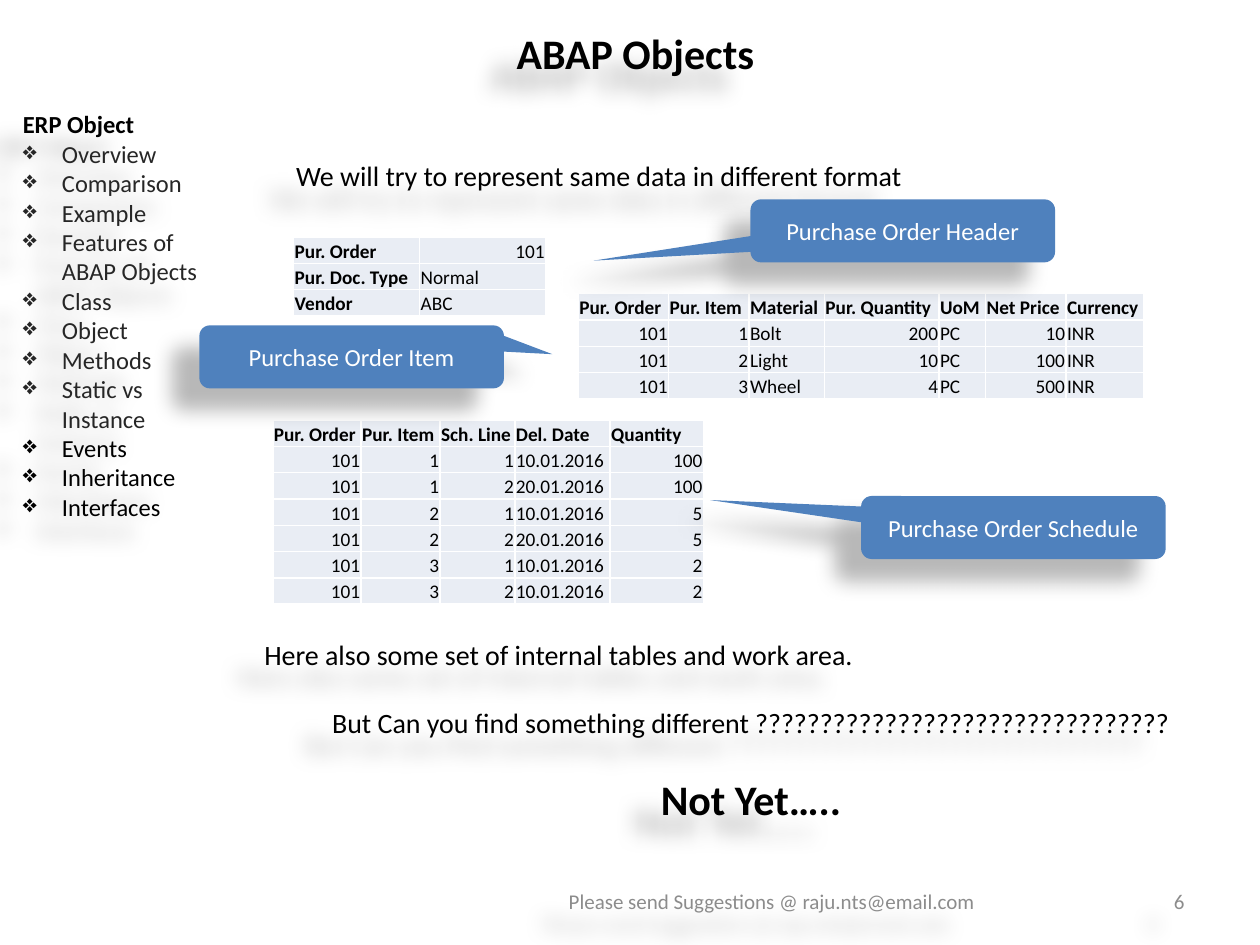
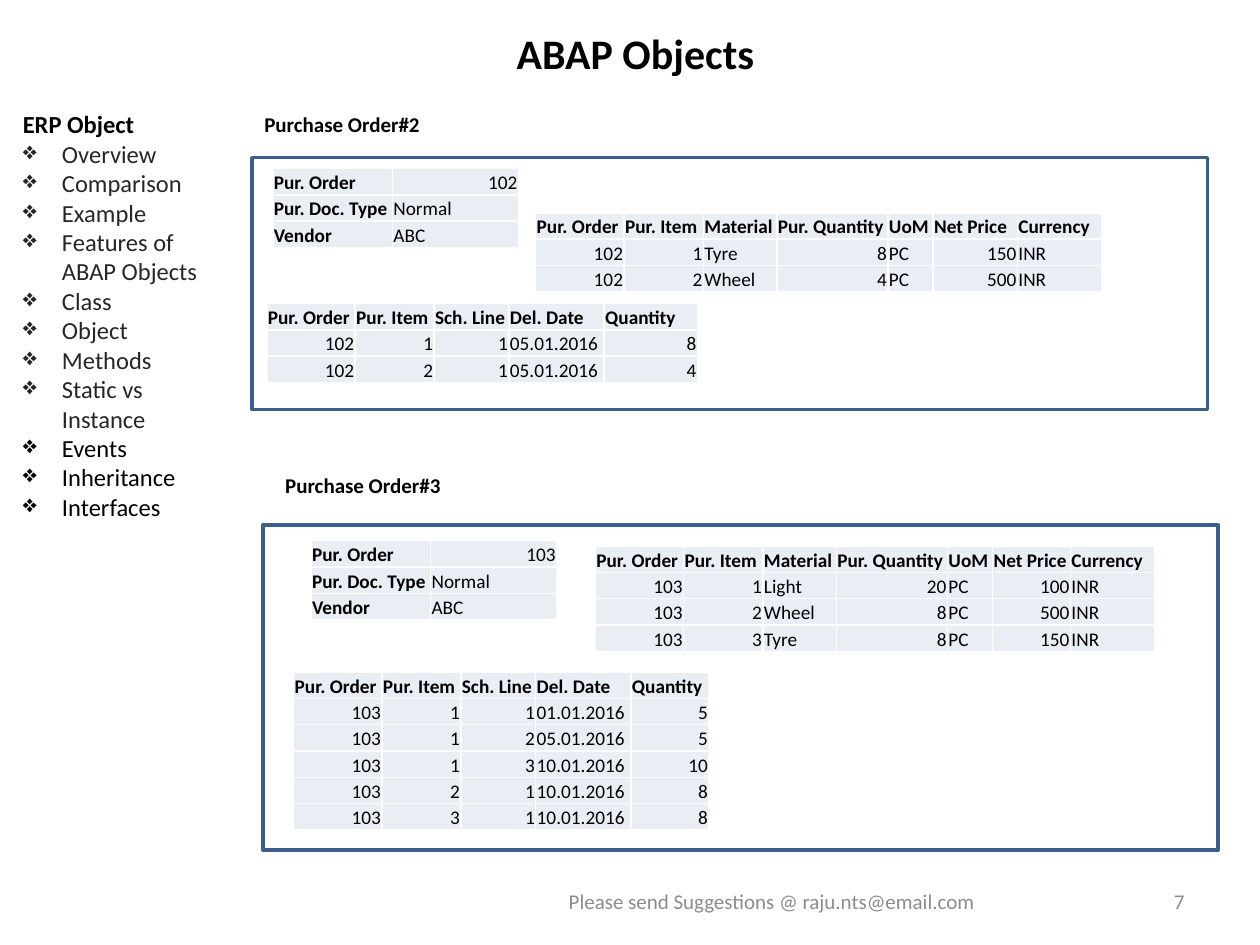
from dataclasses import dataclass

from lxml import etree
from pptx import Presentation
from pptx import util as u
from pptx.dml import color
from pptx.enum import shapes, text
from pptx.oxml import ns


@dataclass(frozen=True)
class Theme:
    font: str = "Calibri"
    black: str = "000000"
    soft_black: str = "262626"
    white: str = "FFFFFF"
    grey: str = "8C8C8C"
    cell: str = "E9EDF4"
    callout: str = "4F81BD"
    frame: str = "3A5F8C"
    title_size: int = 24
    body_size: int = 16
    menu_size: int = 14
    small_size: int = 12
    table_size: int = 11


THEME = Theme()
LEFT, CENTER, RIGHT = text.PP_ALIGN.LEFT, text.PP_ALIGN.CENTER, text.PP_ALIGN.RIGHT

# Shared content
TITLE = "ABAP Objects"
FOOTER = "Please send Suggestions @ raju.nts@email.com"
MENU_TITLE = "ERP Object"
MENU_DONE = ["Overview", "Comparison", "Example", "Features of ABAP Objects",
             "Class", "Object", "Methods", "Static vs Instance"]
MENU_NEXT = ["Events", "Inheritance", "Interfaces"]

# Purchase orders: items are (material, quantity, price),
# schedule lines are (item, line, date, quantity)
ITEM_HEADINGS = ["Pur. Order", "Pur. Item", "Material", "Pur. Quantity",
                 "UoM", "Net Price", "Currency"]
SCHEDULE_HEADINGS = ["Pur. Order", "Pur. Item", "Sch. Line", "Del. Date", "Quantity"]
ORDERS = {
    101: {
        "items": [("Bolt", 200, 10), ("Light", 10, 100), ("Wheel", 4, 500)],
        "schedule": [(1, 1, "10.01.2016", 100), (1, 2, "20.01.2016", 100),
                     (2, 1, "10.01.2016", 5), (2, 2, "20.01.2016", 5),
                     (3, 1, "10.01.2016", 2), (3, 2, "10.01.2016", 2)],
    },
    102: {
        "items": [("Tyre", 8, 150), ("Wheel", 4, 500)],
        "schedule": [(1, 1, "05.01.2016", 8), (2, 1, "05.01.2016", 4)],
    },
    103: {
        "items": [("Light", 20, 100), ("Wheel", 8, 500), ("Tyre", 8, 150)],
        "schedule": [(1, 1, "01.01.2016", 5), (1, 2, "05.01.2016", 5),
                     (1, 3, "10.01.2016", 10), (2, 1, "10.01.2016", 8),
                     (3, 1, "10.01.2016", 8)],
    },
}

# Table places in cm: (left, top, column widths)
ROW_HEIGHT = 0.53
SCHEDULE_COLUMNS = [1.78, 1.59, 1.51, 1.92]
ITEM_COLUMNS = [1.78, 1.6, 1.48, 2.24, 0.91]
PLACES = {
    101: {"header": (5.92, 4.78, [2.54, 2.54]),
          "items": (11.66, 5.92, [1.82, 1.62, 1.52, 2.31, 0.94, 1.62, 1.57]),
          "schedule": (5.5, 8.47, SCHEDULE_COLUMNS + [1.88])},
    102: {"header": (5.5, 3.4, [2.41, 2.54]),
          "items": (10.8, 4.29, ITEM_COLUMNS + [1.7, 1.7]),
          "schedule": (5.38, 6.12, SCHEDULE_COLUMNS + [1.88])},
    103: {"header": (6.27, 10.9, [2.41, 2.54]),
          "items": (12, 11.01, ITEM_COLUMNS + [1.57, 1.7]),
          "schedule": (5.92, 13.55, SCHEDULE_COLUMNS + [1.57])},
}

# Slide 6: (label, left, top, pointer x, pointer y)
INTRO = "We will try to represent same data in different format"
CLOSING = ["Here also some set of internal tables and work area.",
           "But Can you find something different ????????????????????????????????",
           "Not Yet….."]
CALLOUTS = [("Purchase Order Header", 15.13, 4.02, -1.015, 0.473),
            ("Purchase Order Item", 4.02, 6.56, 0.659, -0.042),
            ("Purchase Order Schedule", 17.36, 10, -0.996, -0.436)]

# Slide 7: (order, heading, heading place, frame place)
FRAMED_ORDERS = [
    (102, "Purchase Order#2", (5.08, 2.12, 4.02, 0.77), (5.08, 3.18, 19.26, 5.08)),
    (103, "Purchase Order#3", (5.5, 9.4, 4.02, 0.77), (5.3, 10.58, 19.26, 6.56)),
]


def rgb(value):
    return color.RGBColor.from_string(value)


def cm(lengths):
    return [u.Cm(length) for length in lengths]


def add_run(paragraph, words, size, tint=THEME.black, bold=False):
    run = paragraph.add_run()
    run.text = words
    run.font.name = THEME.font
    run.font.size = u.Pt(size)
    run.font.bold = bold
    run.font.color.rgb = rgb(tint)


def add_shadow(shape):
    """Soft shadow falling to the lower left."""
    properties = shape._element.spPr
    for old in properties.findall(ns.qn("a:effectLst")):
        properties.remove(old)
    effects = etree.SubElement(properties, ns.qn("a:effectLst"))
    shadow = etree.SubElement(effects, ns.qn("a:outerShdw"), blurRad=str(u.Pt(11.8)),
                              dist=str(u.Pt(19.7)), dir=str(141 * 60000),
                              algn="ctr", rotWithShape="0")
    tint = etree.SubElement(shadow, ns.qn("a:srgbClr"), val=THEME.black)
    etree.SubElement(tint, ns.qn("a:alpha"), val="28000")


def add_box(slide, place, shadowed=False, middle=False):
    """Empty wrapping text box; returns its text frame."""
    box = slide.shapes.add_textbox(*cm(place))
    box.text_frame.word_wrap = True
    if middle:
        box.text_frame.vertical_anchor = text.MSO_ANCHOR.MIDDLE
    if shadowed:
        add_shadow(box)
    return box.text_frame


def add_label(slide, place, words, size, align=LEFT, tint=THEME.black,
              bold=False, **options):
    paragraph = add_box(slide, place, **options).paragraphs[0]
    paragraph.alignment = align
    add_run(paragraph, words, size, tint, bold)


def add_menu(slide, shadowed):
    frame = add_box(slide, (0.21, 2.08, 4.45, 10), shadowed)
    add_run(frame.paragraphs[0], MENU_TITLE, THEME.menu_size, bold=True)
    for entry in MENU_DONE + MENU_NEXT:
        paragraph = frame.add_paragraph()
        tint = THEME.soft_black if entry in MENU_DONE else THEME.black
        add_run(paragraph, entry, THEME.menu_size, tint)
        properties = paragraph._p.get_or_add_pPr()
        properties.set("marL", str(u.Cm(0.79)))
        properties.set("indent", str(-u.Cm(0.79)))
        etree.SubElement(properties, ns.qn("a:buChar"), char="❖")


def add_common(presentation, number, shadowed=False):
    """New slide with number, title, footer and menu."""
    slide = presentation.slides.add_slide(presentation.slide_layouts[6])
    add_label(slide, (18.2, 17.65, 5.93, 1.02), str(number), THEME.small_size, RIGHT,
              THEME.grey, shadowed=shadowed, middle=True)
    add_label(slide, (9.74, 0.42, 6.14, 1.28), TITLE, THEME.title_size, CENTER,
              bold=True, shadowed=shadowed)
    add_label(slide, (8.68, 17.65, 13.76, 1.02), FOOTER, THEME.small_size, CENTER,
              THEME.grey, shadowed=shadowed, middle=True)
    add_menu(slide, shadowed)
    return slide


def style_cell(cell, words, bold):
    cell.margin_left = cell.margin_right = cell.margin_top = u.Cm(0.02)
    cell.margin_bottom = 0
    cell.vertical_anchor = text.MSO_ANCHOR.BOTTOM
    properties = cell._tc.get_or_add_tcPr()
    for side in ("lnL", "lnR", "lnT", "lnB"):
        line = etree.SubElement(properties, ns.qn("a:" + side), w=str(u.Pt(1)))
        fill = etree.SubElement(line, ns.qn("a:solidFill"))
        etree.SubElement(fill, ns.qn("a:srgbClr"), val=THEME.white)
    cell.fill.solid()
    cell.fill.fore_color.rgb = rgb(THEME.cell)
    paragraph = cell.text_frame.paragraphs[0]
    paragraph.alignment = RIGHT if words.isdigit() else LEFT
    add_run(paragraph, words, THEME.table_size, bold=bold)


def add_grid(slide, place, rows, labels_in_column=False):
    left, top, widths = place
    size = (left, top, sum(widths), ROW_HEIGHT * len(rows))
    table = slide.shapes.add_table(len(rows), len(widths), *cm(size)).table
    table.first_row = table.horz_banding = False
    for column, width in zip(table.columns, widths):
        column.width = u.Cm(width)
    for r, row in enumerate(rows):
        table.rows[r].height = u.Cm(ROW_HEIGHT)
        for c, value in enumerate(row):
            bold = c == 0 if labels_in_column else r == 0
            style_cell(table.cell(r, c), str(value), bold)


def add_order(slide, number):
    """Header, item and schedule tables of one purchase order."""
    order, places = ORDERS[number], PLACES[number]
    header = [("Pur. Order", number), ("Pur. Doc. Type", "Normal"), ("Vendor", "ABC")]
    items = [(number, position, material, quantity, "PC", price, "INR")
             for position, (material, quantity, price) in enumerate(order["items"], 1)]
    schedule = [(number, *line) for line in order["schedule"]]
    add_grid(slide, places["header"], header, labels_in_column=True)
    add_grid(slide, places["items"], [ITEM_HEADINGS] + items)
    add_grid(slide, places["schedule"], [SCHEDULE_HEADINGS] + schedule)


def add_callout(slide, label, left, top, pointer_x, pointer_y):
    shape = slide.shapes.add_shape(shapes.MSO_SHAPE.ROUNDED_RECTANGULAR_CALLOUT,
                                   *cm((left, top, 6.14, 1.27)))
    shape.adjustments[0] = pointer_x
    shape.adjustments[1] = pointer_y
    shape.fill.solid()
    shape.fill.fore_color.rgb = rgb(THEME.callout)
    shape.line.fill.background()
    add_shadow(shape)
    shape.text_frame.vertical_anchor = text.MSO_ANCHOR.MIDDLE
    paragraph = shape.text_frame.paragraphs[0]
    paragraph.alignment = CENTER
    add_run(paragraph, label, THEME.menu_size, THEME.white)


def add_frame(slide, place):
    frame = slide.shapes.add_shape(shapes.MSO_SHAPE.RECTANGLE, *cm(place))
    frame.shadow.inherit = False
    frame.fill.background()
    frame.line.color.rgb = rgb(THEME.frame)
    frame.line.width = u.Pt(2)


def build_tables_slide(presentation):
    slide = add_common(presentation, 6, shadowed=True)
    add_label(slide, (5.72, 3.07, 20.12, 0.94), INTRO, THEME.body_size, shadowed=True)
    add_order(slide, 101)

    # Closing lines, the last one large
    frame = add_box(slide, (5.08, 12.73, 20.12, 4.7), shadowed=True)
    statement, question, answer = CLOSING
    add_run(frame.paragraphs[0], statement, THEME.body_size)
    for words, size, bold in ((question, THEME.body_size, False),
                              (answer, THEME.title_size, True)):
        paragraph = frame.add_paragraph()
        paragraph.alignment = CENTER
        paragraph.space_before = u.Pt(19.5)
        add_run(paragraph, words, size, bold=bold)

    for callout in CALLOUTS:
        add_callout(slide, *callout)


def build_orders_slide(presentation):
    slide = add_common(presentation, 7)
    for number, heading, heading_place, frame_place in FRAMED_ORDERS:
        add_label(slide, heading_place, heading, THEME.small_size, bold=True)
        add_order(slide, number)
        add_frame(slide, frame_place)


def main():
    presentation = Presentation()
    presentation.slide_width, presentation.slide_height = cm((25.4, 19.05))
    build_tables_slide(presentation)
    build_orders_slide(presentation)
    presentation.save("out.pptx")


if __name__ == "__main__":
    main()
